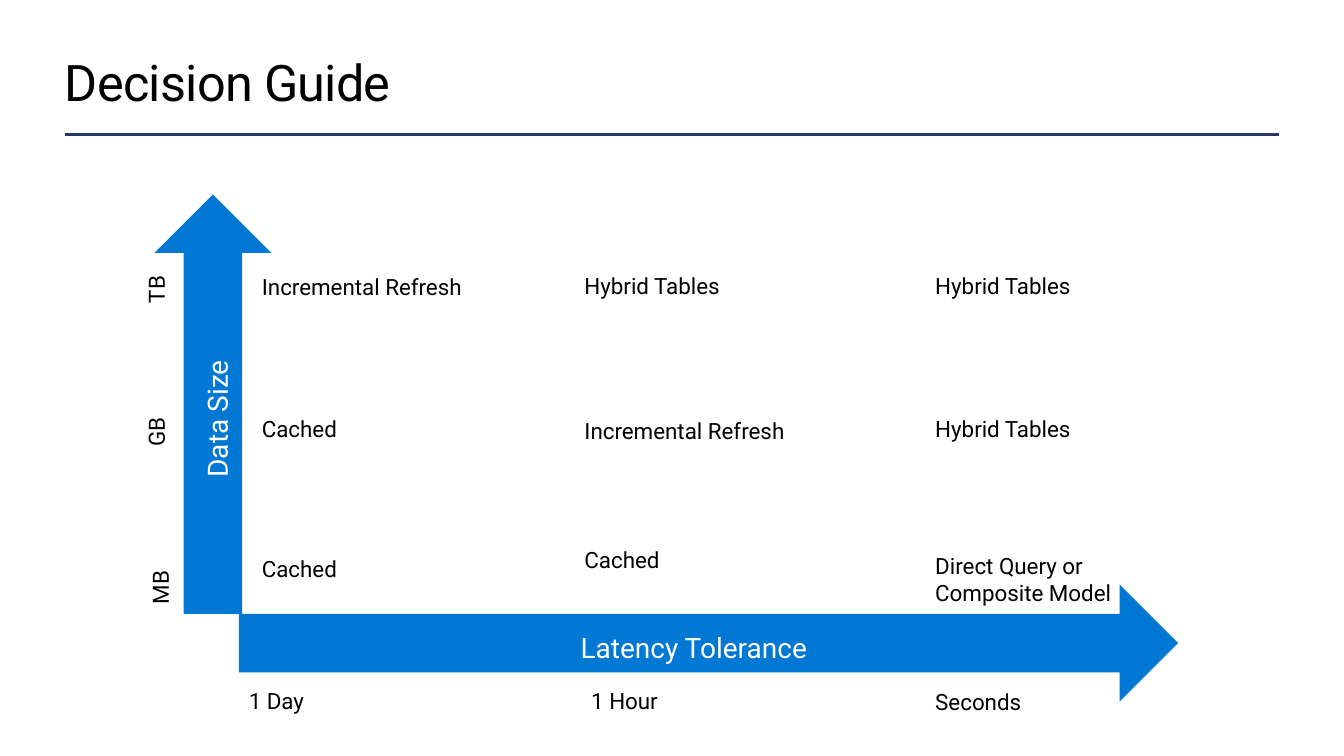
from dataclasses import dataclass

from lxml import etree
from pptx import Presentation
from pptx import util as u
from pptx.dml.color import RGBColor
from pptx.enum import shapes, text
from pptx.oxml import ns


@dataclass(frozen=True)
class Theme:
    font: str = "Roboto"
    ink: str = "000000"
    paper: str = "FFFFFF"
    rule: str = "243A5E"
    arrow: str = "0078D4"
    title_size: int = 36
    axis_size: int = 20
    label_size: int = 16


@dataclass(frozen=True)
class Box:
    """A rectangle in centimetres."""
    left: float
    top: float
    width: float
    height: float

    def inner(self, left, top, width, height):
        return Box(self.left + left, self.top + top, width, height)

    def lengths(self):
        return [u.Cm(side) for side in (self.left, self.top, self.width, self.height)]


THEME = Theme()
TITLE_BOX = Box(1.63, 1.27, 30.61, 1.55)
GUIDE_BOX = Box(2.92, 4.9, 26.77, 13.99)

ARROW_DEPTH = 2.95
LABEL_SIZE = (5.99, 1.7)
SIZE_LABEL = (2.31, 1.22)

COLUMNS = (3.43, 11.56, 20.4)
# Each row holds (answer, top) for every latency column.
ANSWERS = (
    (("Incremental Refresh", 1.85), ("Hybrid Tables", 1.83), ("Hybrid Tables", 1.83)),
    (("Cached", 5.44), ("Incremental Refresh", 5.49), ("Hybrid Tables", 5.44)),
    (("Cached", 8.97), ("Cached", 8.74), ("Direct Query or Composite Model", 8.89)),
)
LATENCIES = (("1 Day", 3.1, 12.29), ("1 Hour", 11.73, 12.29), ("Seconds", 20.4, 12.32))
DATA_SIZES = (("TB", 0, 1.22), ("GB", 0, 4.83), ("MB", 0.1, 8.81))


def apply_format(target, values):
    for name, value in values.items():
        setattr(target, name, value)


def write(shape, wording, size, color, align, frame_format):
    frame = shape.text_frame
    apply_format(frame, {"word_wrap": True, **frame_format})
    para = frame.paragraphs[0]
    para.alignment = align
    span = para.add_run()
    span.text = wording
    apply_format(span.font, {"name": THEME.font, "size": u.Pt(size), "bold": False})
    span.font.color.rgb = RGBColor.from_string(color)
    return span


def add_heading(page, box):
    title = page.shapes.title
    apply_format(title, dict(zip(("left", "top", "width", "height"), box.lengths())))
    margins = dict.fromkeys(
        ("margin_left", "margin_top", "margin_right", "margin_bottom"), 0)
    span = write(title, "Decision Guide", THEME.title_size, THEME.ink, text.PP_ALIGN.LEFT,
                 {"vertical_anchor": text.MSO_ANCHOR.MIDDLE, **margins})
    span.font._element.set("spc", "-50")

    rule_top = u.Cm(box.top + 2.11)
    rule = page.shapes.add_connector(
        shapes.MSO_CONNECTOR.STRAIGHT, u.Cm(box.left), rule_top,
        u.Cm(box.left + box.width), rule_top)
    rule.line.color.rgb = RGBColor.from_string(THEME.rule)
    rule.line.width = u.Pt(2)
    etree.SubElement(rule._element.spPr, ns.qn("a:effectLst"))


def add_axis(page, box, wording, rotation=0):
    arrow = page.shapes.add_shape(shapes.MSO_SHAPE.RIGHT_ARROW, *box.lengths())
    arrow.rotation = rotation
    arrow.shadow.inherit = False
    arrow.fill.solid()
    arrow.fill.fore_color.rgb = RGBColor.from_string(THEME.arrow)
    arrow.line.fill.background()
    write(arrow, wording, THEME.axis_size, THEME.paper, text.PP_ALIGN.CENTER, {
        "vertical_anchor": text.MSO_ANCHOR.TOP,
        "margin_left": u.Cm(0.51), "margin_right": u.Cm(0.51),
        "margin_top": u.Cm(0.41), "margin_bottom": u.Cm(0.41)})


def add_label(page, box, wording, rotation=0):
    label = page.shapes.add_textbox(*box.lengths())
    label.rotation = rotation
    write(label, wording, THEME.label_size, THEME.ink, text.PP_ALIGN.LEFT, {})


def add_guide(page, box):
    """Place both axis arrows, their scales and the grid of answers."""
    add_axis(page, box.inner(3.1, 9.83, 23.67, ARROW_DEPTH), "Latency Tolerance")
    add_axis(page, box.inner(-2.84, 3.81, 10.57, ARROW_DEPTH), "Data Size", 270)
    for wording, left, top in LATENCIES:
        add_label(page, box.inner(left, top, *LABEL_SIZE), wording)
    for wording, left, top in DATA_SIZES:
        add_label(page, box.inner(left, top, *SIZE_LABEL), wording, 270)
    for row in ANSWERS:
        for left, (wording, top) in zip(COLUMNS, row):
            add_label(page, box.inner(left, top, *LABEL_SIZE), wording)


def main():
    deck = Presentation()
    deck.slide_width, deck.slide_height = u.Cm(33.87), u.Cm(19.05)
    title_only = deck.slide_layouts[5]
    page = deck.slides.add_slide(title_only)
    add_heading(page, TITLE_BOX)
    add_guide(page, GUIDE_BOX)
    deck.save("out.pptx")


if __name__ == "__main__":
    main()
